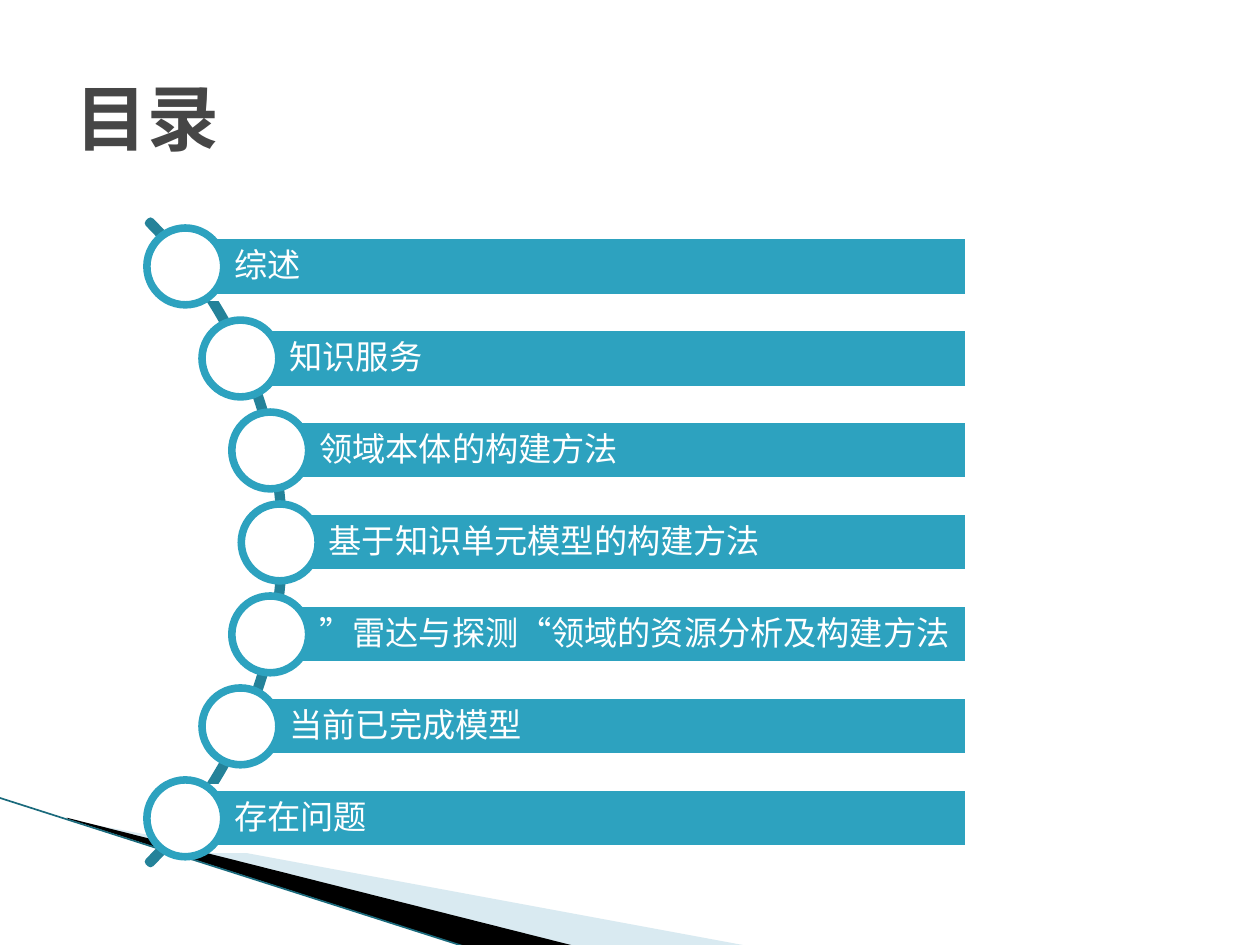
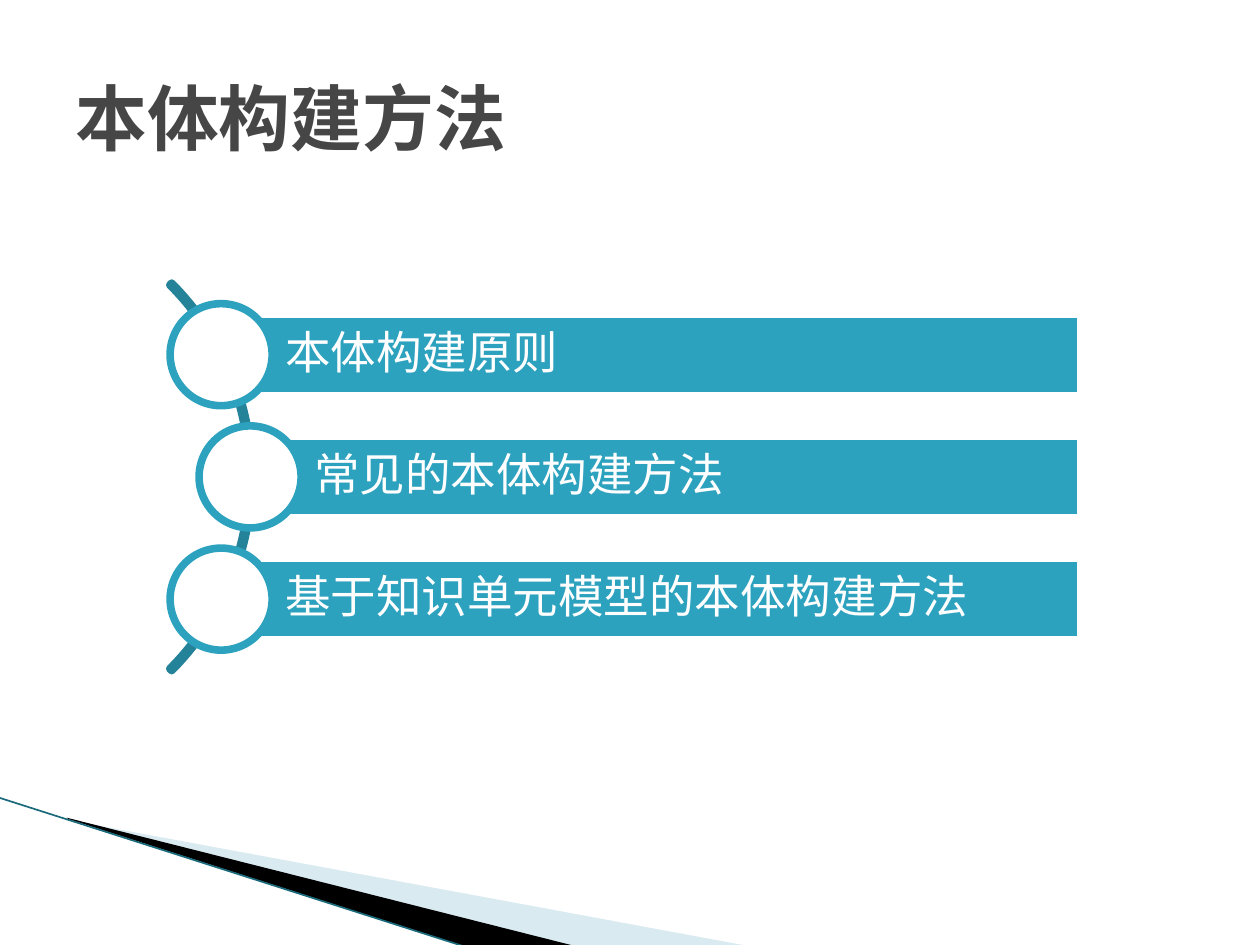
from math import sqrt

from lxml import etree
from pptx import Presentation
from pptx.dml.color import RGBColor
from pptx.enum.shapes import MSO_CONNECTOR, MSO_SHAPE
from pptx.enum.text import MSO_ANCHOR, PP_ALIGN
from pptx.oxml.ns import qn
from pptx.util import Inches, Pt

ARC, BAR, CIRCLE = MSO_SHAPE.BLOCK_ARC, MSO_SHAPE.RECTANGLE, MSO_SHAPE.OVAL
STRAIGHT = MSO_CONNECTOR.STRAIGHT
MIDDLE, LEFT = MSO_ANCHOR.MIDDLE, PP_ALIGN.LEFT

COLORS = {
    "white": "FFFFFF",
    "title": "464646",
    "bar": "2DA2BF",
    "arc": "248299",
    "pale_wedge": "A0CBDC",
    "dark_wedge": "000000",
    "edge": "1A6A7C",
}
FONT = "Courier New"
OUTLINE = 4.33
TITLE_BOX = (0.5, 0.3, 9, 1.25)
TITLE_FORMAT = {"size": Pt(41), "bold": True, "name": FONT}

PALE_WEDGE = [(0.55, 6.51), (5.95, 7.51), (4.56, 7.51), (0.55, 6.5)]
DARK_WEDGE = [(0.53, 6.49), (4.57, 7.51), (3.72, 7.52), (0.54, 6.5)]
EDGE = (-0.01, 6.33, 3.71, 7.52)

# Each list follows an arc: box is the arc's left, top and diameter
CONTENTS = {
    "title": "目录",
    "items": [
        "综述",
        "知识服务",
        "领域本体的构建方法",
        "基于知识单元模型的构建方法",
        "”雷达与探测“领域的资源分析及构建方法",
        "当前已完成模型",
        "存在问题",
    ],
    "box": (-4.96, 0.7, 7.21),
    "thickness": 0.003,
    "arc_inset": 0.03,
    "pitch": 0.73,
    "bar_right": 7.69,
    "bar_height": 0.49,
    "circle": 0.61,
    "text_left": 0.39,
    "margin": 0.05,
    "size": 19,
}
METHODS = {
    "title": "本体构建方法",
    "items": ["本体构建原则", "常见的本体构建方法", "基于知识单元模型的本体构建方法"],
    "box": (-2.35, 1.61, 4.35),
    "thickness": 0.005,
    "arc_inset": 0.015,
    "pitch": 0.97,
    "bar_right": 8.58,
    "bar_height": 0.65,
    "circle": 0.81,
    "text_left": 0.51,
    "margin": 0.07,
    "size": 26,
}


def color(name):
    return RGBColor.from_string(COLORS[name])


def apply(target, values):
    for name, value in values.items():
        setattr(target, name, value)


def paint(shape, fill=None, line=None):
    shape.shadow.inherit = False
    for part, name in ((shape.fill, fill), (shape.line.fill, line)):
        if name:
            part.solid()
            part.fore_color.rgb = color(name)
        else:
            part.background()
    if line:
        shape.line.width = Pt(OUTLINE)


def add_shape(shapes, kind, box, fill=None, line=None):
    shape = shapes.add_shape(kind, *map(Inches, box))
    paint(shape, fill, line)
    return shape


def write(shape, text, font_format, font_color, line_spacing=1.0):
    frame = shape.text_frame
    apply(frame, {"word_wrap": True, "vertical_anchor": MIDDLE})
    paragraph = frame.paragraphs[0]
    apply(paragraph, {"alignment": LEFT, "line_spacing": line_spacing})
    run = paragraph.add_run()
    run.text = text
    apply(run.font, font_format)
    run.font.color.rgb = color(font_color)


def add_wedge(slide, points, fill, opacity=100):
    corners = [(Inches(x), Inches(y)) for x, y in points]
    builder = slide.shapes.build_freeform(*corners[0], scale=1.0)
    builder.add_line_segments(corners[1:], close=True)
    wedge = builder.convert_to_shape()
    paint(wedge, fill)
    if opacity < 100:
        fill_color = wedge.element.spPr.find(".//" + qn("a:srgbClr"))
        etree.SubElement(fill_color, qn("a:alpha"), val=str(opacity * 1000))


def add_corner_band(slide):
    add_wedge(slide, PALE_WEDGE, "pale_wedge", 40)
    add_wedge(slide, DARK_WEDGE, "dark_wedge")
    edge = slide.shapes.add_connector(STRAIGHT, *map(Inches, EDGE))
    edge.line.color.rgb = color("edge")
    edge.line.width = Pt(0.95)
    etree.SubElement(edge.element.spPr, qn("a:effectLst"))


def add_title(slide, text):
    title = slide.shapes.add_textbox(*map(Inches, TITLE_BOX))
    write(title, text, TITLE_FORMAT, "title")


def add_arc_list(slide, content):
    shapes = slide.shapes.add_group_shape().shapes
    left, top, diameter = content["box"]
    center_x, center_y = left + diameter / 2, top + diameter / 2
    radius = diameter / 2 - content["arc_inset"]
    height, circle = content["bar_height"], content["circle"]
    margin = Inches(content["margin"])

    # Arc from 315 to 45 degrees
    arc = add_shape(shapes, ARC, (left, top, diameter, diameter), line="arc")
    for index, value in enumerate((189, 27, content["thickness"])):
        arc.adjustments[index] = value

    # Bars start at the centres of circles that sit on the arc
    for index, text in enumerate(content["items"]):
        offset = (index - (len(content["items"]) - 1) / 2) * content["pitch"]
        x, y = center_x + sqrt(radius ** 2 - offset ** 2), center_y + offset
        bar = add_shape(shapes, BAR,
                        (x, y - height / 2, content["bar_right"] - x, height),
                        "bar", "white")
        apply(bar.text_frame, {
            "margin_left": Inches(content["text_left"]), "margin_right": margin,
            "margin_top": margin, "margin_bottom": margin,
        })
        write(bar, text, {"size": Pt(content["size"]), "name": FONT}, "white", 0.9)
        add_shape(shapes, CIRCLE,
                  (x - circle / 2, y - circle / 2, circle, circle), "white", "bar")


def add_list_slide(presentation, content):
    slide = presentation.slides.add_slide(presentation.slide_layouts[6])
    add_corner_band(slide)
    add_title(slide, content["title"])
    add_arc_list(slide, content)


def main():
    presentation = Presentation()
    presentation.slide_width = Inches(10)
    presentation.slide_height = Inches(7.5)
    for content in (CONTENTS, METHODS):
        add_list_slide(presentation, content)
    presentation.save("out.pptx")


if __name__ == "__main__":
    main()
